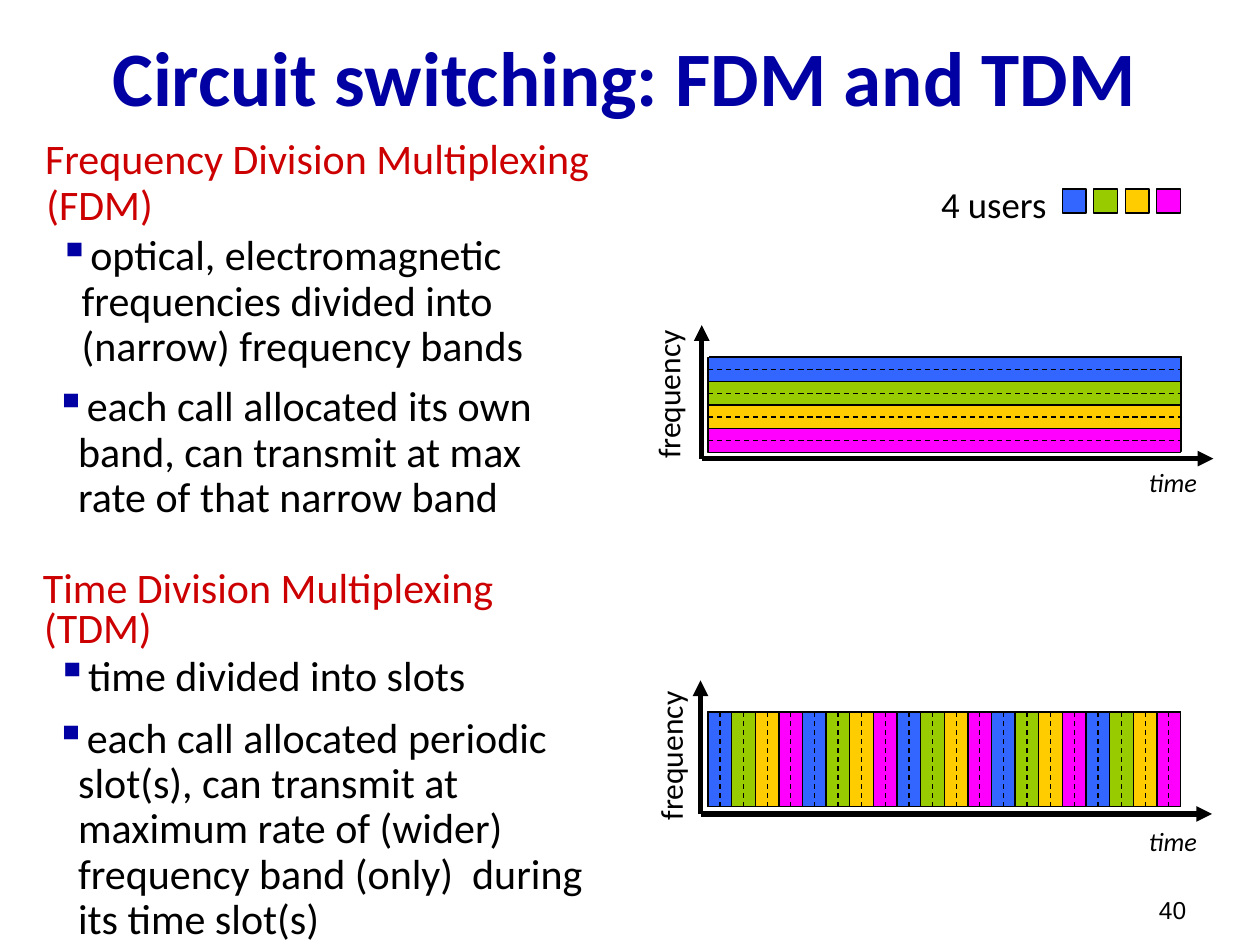
from lxml.etree import SubElement
from pptx import Presentation
from pptx.dml.color import RGBColor
from pptx.enum.dml import MSO_LINE
from pptx.enum.shapes import MSO_CONNECTOR, MSO_SHAPE
from pptx.enum.text import MSO_ANCHOR, PP_ALIGN
from pptx.oxml.ns import qn
from pptx.util import Inches, Pt

THEME = {
    "face": "Calibri", "digit": "Arial",
    "navy": "0000A3", "red": "CC0000", "black": "000000", "base": "4472C4",
    "users": ["3366FF", "99CC00", "FFCC00", "FF00FF"],
    "title": 44, "body": 24, "key": 21, "axis": 18, "time": 15, "page": 14,
    "thin": 0.75, "thick": 3,
}
HEAD = {"size": "body", "color": "red", "left": 0.01, "hang": -0.01}
ITEM = {"size": "body", "left": 0.29, "hang": -0.18, "mark": "▪"}
TIGHT = (0.07, 0.04)
WIDE = (0.1, 0.05)
BODY = [
    ((0.26, 1.05, 4.86, 1.98), WIDE, 0.9, 3, [
        (HEAD, "Frequency Division Multiplexing (FDM)"),
        (ITEM, "optical, electromagnetic frequencies divided into (narrow) frequency bands")]),
    ((0.27, 4.49, 4.22, 1.15), TIGHT, 0.8, 4.5, [
        (HEAD, "Time Division Multiplexing (TDM)"),
        (ITEM, "time divided into slots")]),
    ((0.26, 3.02, 4.53, 1.17), TIGHT, 0.9, 3, [
        (ITEM, "each call allocated its own band, can transmit at max rate of that narrow band")]),
    ((0.26, 5.65, 4.53, 1.84), TIGHT, 0.9, 4.5, [
        (ITEM, "each call allocated periodic slot(s), can transmit at maximum rate of "
               "(wider) frequency band (only)  during its time slot(s)")]),
]
LABELS = [
    ((0.65, 0.28, 8.62, 0.73), "Circuit switching: FDM and TDM",
     {"size": "title", "color": "navy", "bold": True, "align": PP_ALIGN.CENTER, "space": 0.9},
     {"vertical_anchor": MSO_ANCHOR.MIDDLE}, 0),
    ((7.37, 1.39, 1.05, 0.45), "4 users", {"size": "key"}, {"word_wrap": False}, 0),
    ((9.1, 7.07, 0.74, 0.3), "40", {"size": "page", "face": "digit"},
     {"vertical_anchor": MSO_ANCHOR.MIDDLE}, 0),
]
PLOTS = [
    {"axis": (5.57, 3.64), "name": (4.68, 2.92), "time": (9.02, 3.65),
     "back": (5.63, 2.83), "grid": (5.62, 2.84), "count": 4, "step": (0, 1), "sides": (1, 3)},
    {"axis": (5.56, 6.46), "name": (4.7, 5.79), "time": (9.02, 6.5),
     "back": (5.62, 5.65), "grid": (5.62, 5.65), "count": 20, "step": (1, 0), "sides": (0, 2)},
]
SPAN = (3.75, 0.75)
REACH = (4.06, 1.06)
KEY = {"left": 8.43, "top": 1.5, "side": 0.19, "pitch": 0.25}

deck = Presentation()
deck.slide_width, deck.slide_height = Inches(10), Inches(7.5)
slide = deck.slides.add_slide(deck.slide_layouts[6])
shapes = slide.shapes


def tint(name):
    return RGBColor.from_string(THEME.get(name, name))


def apply(thing, values):
    for key, value in values.items():
        setattr(thing, key, value)


def fill_line(par, text, style, space=None, before=0):
    if "left" in style:
        prop = par._p.get_or_add_pPr()
        prop.set("marL", str(Inches(style["left"])))
        prop.set("indent", str(Inches(style["hang"])))
        if "mark" in style:
            shade = SubElement(prop, qn("a:buClr"))
            SubElement(shade, qn("a:srgbClr")).set("val", THEME["navy"])
            SubElement(prop, qn("a:buChar")).set("char", style["mark"])
        else:
            SubElement(prop, qn("a:buNone"))
    apply(par, {"alignment": style.get("align"), "line_spacing": space, "space_before": Pt(before)})
    run = par.add_run()
    run.text = text
    apply(run.font, {"name": THEME[style.get("face", "face")], "size": Pt(THEME[style["size"]]),
                     "bold": style.get("bold"), "italic": style.get("italic")})
    run.font.color.rgb = tint(style.get("color", "black"))


def add_text(area, frame, lines, space=None, gap=0, turn=0):
    box = shapes.add_textbox(*map(Inches, area))
    box.rotation = turn
    apply(box.text_frame, {"word_wrap": True, **frame})
    for i, (style, text) in enumerate(lines):
        par = box.text_frame.add_paragraph() if i else box.text_frame.paragraphs[0]
        fill_line(par, text, style, space, gap if i else 0)


def add_rect(area, color):
    rect = shapes.add_shape(MSO_SHAPE.RECTANGLE, *map(Inches, area))
    rect.shadow.inherit = False
    rect.fill.solid()
    rect.fill.fore_color.rgb = tint(color)
    rect.line.color.rgb = tint("black")
    rect.line.width = Pt(THEME["thin"])
    return rect


def add_line(start, end, width="thin", arrow=False, dash=None):
    line = shapes.add_connector(MSO_CONNECTOR.STRAIGHT, *map(Inches, start + end))
    line.line.color.rgb = tint("black")
    apply(line.line, {"width": Pt(THEME[width]), "dash_style": dash})
    if arrow:
        SubElement(line.line._get_or_add_ln(), qn("a:tailEnd")).set("type", "triangle")
    SubElement(line._element.spPr, qn("a:effectLst"))
    return line


def draw_plot(plot):
    x, y = plot["axis"]
    for end in ((x, y - REACH[1]), (x + REACH[0], y)):
        add_line((x, y), end, "thick", arrow=True)
    add_text(plot["name"] + (1.24, 0.4), {"word_wrap": False},
             [({"size": "axis"}, "frequency")], turn=270)
    add_text(plot["time"] + (0.59, 0.35), {"word_wrap": False},
             [({"size": "time", "italic": True}, "time")])
    add_rect(plot["back"] + SPAN, "base")
    (left, top), (across, down), count = plot["grid"], plot["step"], plot["count"]
    wide, high = (SPAN[0] / count, SPAN[1]) if across else (SPAN[0], SPAN[1] / count)
    spots = [(left + i * across * wide, top + i * down * high) for i in range(count)]
    users = THEME["users"]
    bands = [add_rect(spot + (wide, high), users[i % len(users)]) for i, spot in enumerate(spots)]
    for x, y in spots[1:]:
        add_line((x, y), (x + down * wide, y + across * high))
    for band in bands:
        line = add_line((left, top), (left, top), dash=MSO_LINE.DASH)
        line.begin_connect(band, plot["sides"][0])
        line.end_connect(band, plot["sides"][1])


for area, text, style, frame, turn in LABELS:
    add_text(area, frame, [(style, text)], style.get("space"), turn=turn)
for plot in PLOTS:
    draw_plot(plot)
for i, color in enumerate(THEME["users"]):
    add_rect((KEY["left"] + i * KEY["pitch"], KEY["top"], KEY["side"], KEY["side"]), color)
for area, (side, edge), space, gap, lines in BODY:
    pad = {"margin_left": Inches(side), "margin_right": Inches(side),
           "margin_top": Inches(edge), "margin_bottom": Inches(edge)}
    add_text(area, pad, lines, space, gap)

deck.save("out.pptx")
